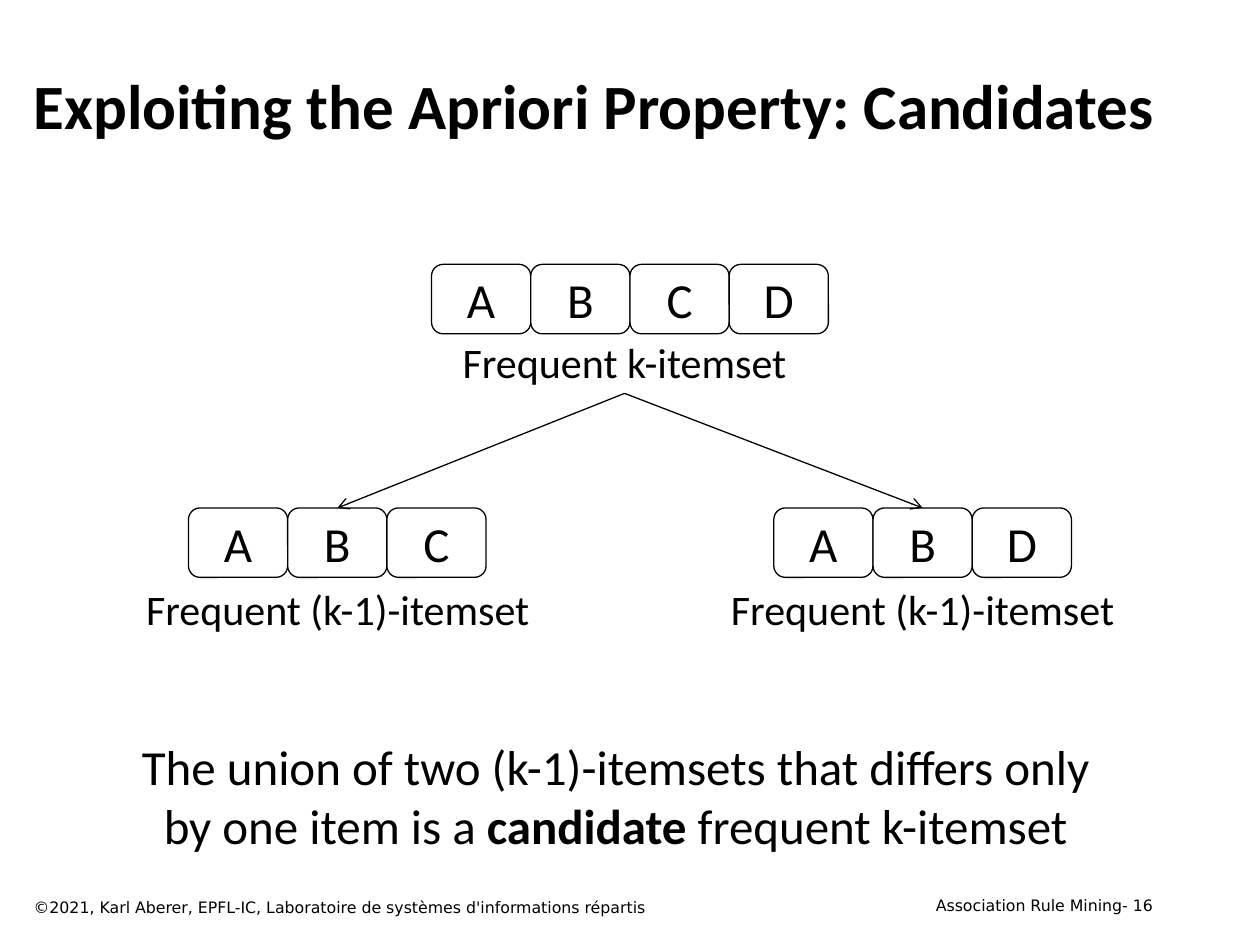
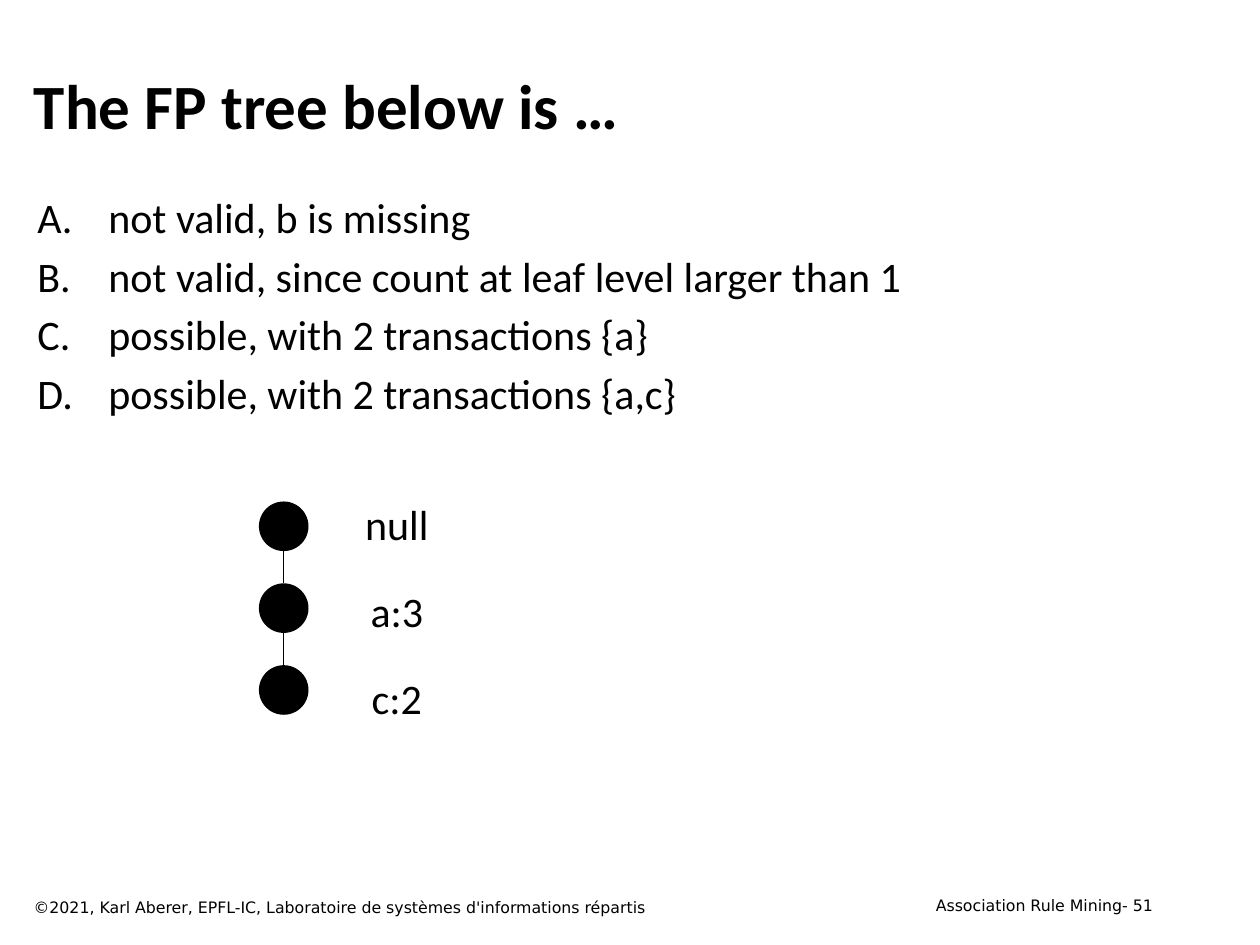
from lxml import etree
from pptx import Presentation
from pptx import util as u
from pptx.dml.color import RGBColor
from pptx.enum import shapes as sh, text as tx
from pptx.oxml import ns

# Content
TITLES = ["Exploiting the Apriori Property: Candidates", "The FP tree below is …"]
PAGES = [16, 51]
TOPIC = "Association Rule Mining- {}"
RIGHTS = "©2021, Karl Aberer, EPFL-IC, Laboratoire de systèmes d'informations répartis"
# Items, left and top of the row, then caption with its box
SETS = [
    ("ABCD", 8.7, 5.33, "Frequent k-itemset", (8.89, 6.66, 7.4, 1.27)),
    ("ABC", 3.8, 10.24, "Frequent (k-1)-itemset", (2.31, 11.64, 9, 1.27)),
    ("ABD", 15.6, 10.24, "Frequent (k-1)-itemset", (14.1, 11.64, 9, 1.27)),
]
CLAIM = [
    ("The union of two (k-1)-itemsets that differs only by one item is a ", False),
    ("candidate ", True),
    ("frequent k-itemset", False),
]
CHOICES = [
    "not valid, b is missing",
    "not valid, since count at leaf level larger than 1",
    "possible, with 2 transactions {a}",
    "possible, with 2 transactions {a,c}",
]
NODES = ["null", "a:3", "c:2"]

# Shared look
COLORS = {"ink": "000000", "paper": "FFFFFF"}
INK, PAPER = (RGBColor.from_string(COLORS[k]) for k in ("ink", "paper"))
FONTS = {
    "title": {"name": "Calibri", "size": u.Pt(36), "bold": True},
    "large": {"name": "Calibri", "size": u.Pt(28), "bold": False},
    "text": {"name": "Calibri", "size": u.Pt(24), "bold": False},
    "foot": {"name": "DejaVu Sans", "size": u.Pt(9), "bold": False},
}
LEFT, MID, RIGHT = tx.PP_ALIGN.LEFT, tx.PP_ALIGN.CENTER, tx.PP_ALIGN.RIGHT
CELL_W, CELL_H = 2, 1.4
DOT, DOT_X, DOT_Y, DOT_STEP = 1, 5.22, 10.11, 1.65
TAG_X, TAG_Y, TAG_STEP = 7.1, 9.93, 1.75


def cms(*vals):
    return [u.Cm(v) for v in vals]


def apply(obj, vals):
    for key, val in vals.items():
        setattr(obj, key, val)


def style(font, kind):
    apply(font, FONTS[kind])
    font.color.rgb = INK


def write(shape, words, kind, align=MID, anchor=tx.MSO_ANCHOR.TOP, wrap=True):
    frame = shape.text_frame
    apply(frame, {"word_wrap": wrap, "vertical_anchor": anchor,
                  "auto_size": tx.MSO_AUTO_SIZE.NONE})
    para = frame.paragraphs[0]
    para.alignment = align
    for part, bold in [(words, None)] if isinstance(words, str) else words:
        run = para.add_run()
        run.text = part
        style(run.font, kind)
        if bold is not None:
            run.font.bold = bold


def label(slide, box, words, kind, **opts):
    shape = slide.shapes.add_textbox(*cms(*box))
    write(shape, words, kind, **opts)
    return shape


def draw(slide, kind, box, fill, line=False):
    shape = slide.shapes.add_shape(kind, *cms(*box))
    shape.shadow.inherit = False
    shape.fill.solid()
    shape.fill.fore_color.rgb = fill
    if line:
        shape.line.color.rgb = INK
        shape.line.width = u.Pt(0.75)
    else:
        shape.line.fill.background()
    return shape


def link(slide, start, end, arrow=False):
    """Join the bottom of one shape to the top of another."""
    line = slide.shapes.add_connector(
        sh.MSO_CONNECTOR.STRAIGHT, start.left + start.width // 2,
        start.top + start.height, end.left + end.width // 2, end.top)
    if arrow:
        line.begin_connect(start, 2)
    line.end_connect(end, 0)
    line.line.color.rgb = INK
    line.line.width = u.Pt(0.75)
    if arrow:
        etree.SubElement(line.line._get_or_add_ln(), ns.qn("a:tailEnd"), type="arrow")
    etree.SubElement(line._element.spPr, ns.qn("a:effectLst"))


def begin(deck, layout, title, page):
    """Add a slide with its title and footers."""
    slide = deck.slides.add_slide(deck.slide_layouts[layout])
    head = slide.shapes.title
    head.left, head.top, head.width, head.height = cms(0.43, 0.84, 23.47, 2.54)
    write(head, title, "title", LEFT, tx.MSO_ANCHOR.MIDDLE)
    label(slide, (18.21, 17.93, 5.28, 0.64), TOPIC.format(page), "foot", align=RIGHT)
    label(slide, (0.43, 17.98, 16.3, 0.64), RIGHTS, "foot", align=LEFT)
    return slide


def itemset(slide, items, left, top, words, box):
    """Draw a captioned row of cells; give back caption and cells."""
    note = draw(slide, sh.MSO_SHAPE.RECTANGLE, box, PAPER)
    write(note, words, "text")
    cells = []
    for i, item in enumerate(items):
        cell = draw(slide, sh.MSO_SHAPE.ROUNDED_RECTANGLE,
                    (left + i * CELL_W, top, CELL_W, CELL_H), PAPER, line=True)
        write(cell, item, "large", anchor=tx.MSO_ANCHOR.MIDDLE)
        cells.append(cell)
    return note, cells


def candidates(slide):
    (root, _), *subsets = [itemset(slide, *row) for row in SETS]
    for _, cells in subsets:
        link(slide, root, cells[1], arrow=True)
    label(slide, (2.11, 14.73, 20.6, 2.64), CLAIM, "large")


def quiz(slide):
    # Lettered choices
    body = slide.placeholders[1]
    body.left, body.top, body.width, body.height = cms(0.5, 3.73, 23.06, 13.97)
    frame = body.text_frame
    frame.auto_size = tx.MSO_AUTO_SIZE.NONE
    for i, choice in enumerate(CHOICES):
        para = frame.add_paragraph() if i else frame.paragraphs[0]
        para.text = choice
        para.space_before = u.Pt(4.8 if i else 0)
        props = para._p.get_or_add_pPr()
        props.set("marL", str(u.Cm(1.43)))
        props.set("indent", str(-u.Cm(1.43)))
        etree.SubElement(props, ns.qn("a:buFont"), typeface="+mj-lt")
        etree.SubElement(props, ns.qn("a:buAutoNum"), type="alphaUcPeriod")
        style(para.font, "text")
        style(para.runs[0].font, "text")

    # Tree of nodes
    dots = []
    for i, node in enumerate(NODES):
        dots.append(draw(slide, sh.MSO_SHAPE.OVAL,
                         (DOT_X, DOT_Y + i * DOT_STEP, DOT, DOT), INK))
        label(slide, (TAG_X, TAG_Y + i * TAG_STEP, 1.8, 1.27), node, "text", wrap=False)
    for start, end in zip(dots, dots[1:]):
        link(slide, start, end)


def main():
    deck = Presentation()
    deck.slide_width, deck.slide_height = cms(25.4, 19.05)
    for layout, title, page, fill in zip((5, 1), TITLES, PAGES, (candidates, quiz)):
        fill(begin(deck, layout, title, page))
    deck.save("out.pptx")


if __name__ == "__main__":
    main()
